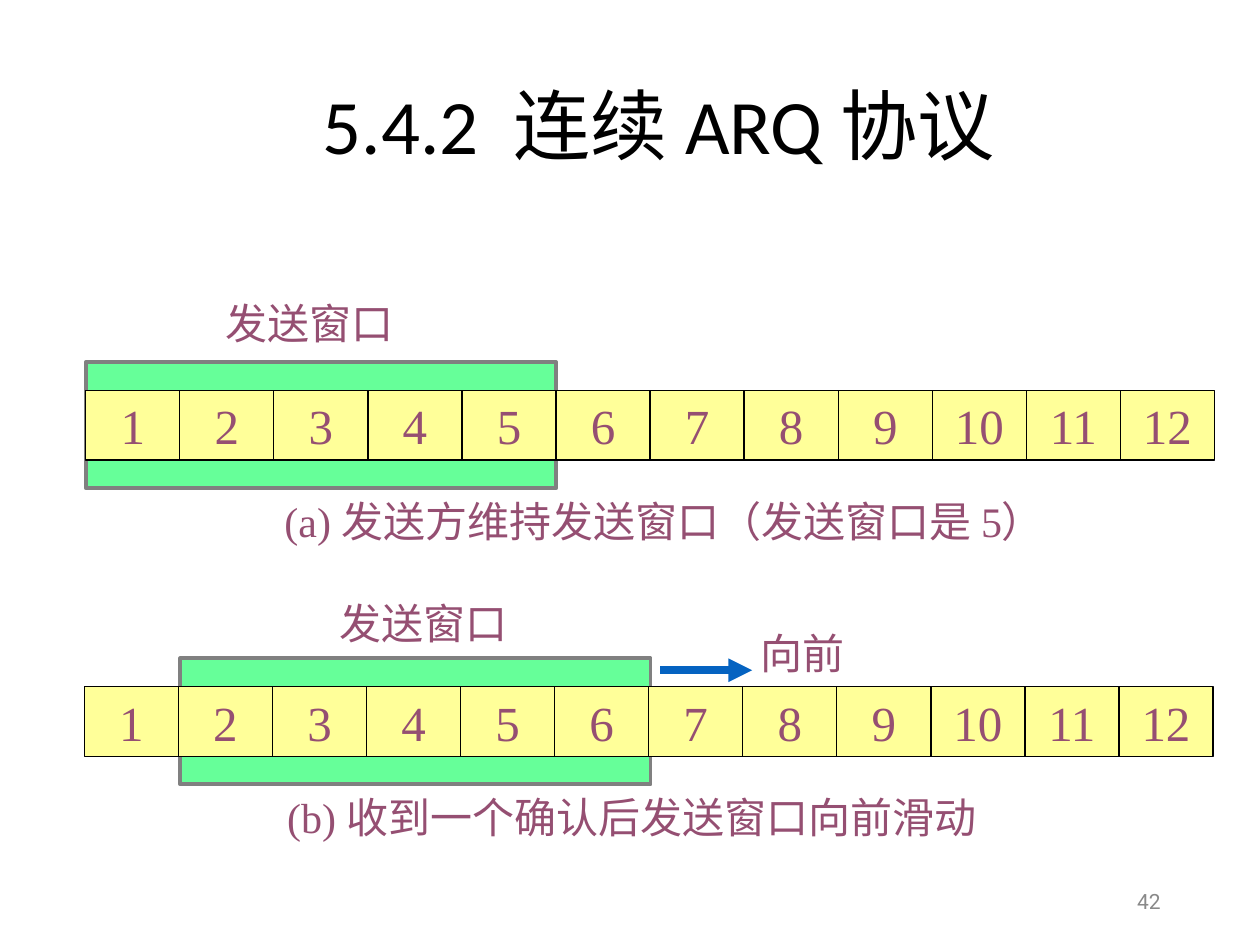
from dataclasses import dataclass

from lxml.etree import SubElement
from pptx import Presentation
from pptx.dml.color import RGBColor
from pptx.enum.shapes import MSO_CONNECTOR, MSO_SHAPE
from pptx.enum.text import MSO_ANCHOR, MSO_AUTO_SIZE, PP_ALIGN
from pptx.oxml.ns import qn
from pptx.util import Pt

PURPLE = "954F72"
BLACK = "000000"
FRAME_COUNT = 12
WINDOW_SIZE = 5
CELL_WIDTH = 53.75
ROW_HEIGHT = 39.7
WINDOW_HEIGHT = 72


@dataclass
class FrameRow:
    left: float
    top: float
    window_left: float


@dataclass
class Label:
    text: str
    left: float
    top: float
    width: float


ROWS = [FrameRow(49, 223.2, 49), FrameRow(48.2, 392.4, 103)]
LABELS = [
    Label("发送窗口", 121.7, 166.3, 110.2),
    Label("(a) 发送方维持发送窗口（发送窗口是 5）", 155.5, 279.4, 449.3),
    Label("发送窗口", 187.2, 337.7, 110.2),
    Label("向前", 427.7, 355, 62.6),
    Label("(b) 收到一个确认后发送窗口向前滑动", 157, 448.6, 408.2),
]


def color(value: str) -> RGBColor:
    return RGBColor.from_string(value)


def write_text(shape, text: str, *, size: float, font: str, fill: str,
               align=PP_ALIGN.LEFT, anchor=MSO_ANCHOR.TOP, wrap=True, line_spacing=None):
    frame = shape.text_frame
    frame.auto_size = MSO_AUTO_SIZE.NONE
    frame.word_wrap = wrap
    frame.vertical_anchor = anchor
    paragraph = frame.paragraphs[0]
    paragraph.alignment = align
    paragraph.line_spacing = line_spacing
    run = paragraph.add_run()
    run.text = text
    run.font.size = Pt(size)
    run.font.name = font
    run.font.color.rgb = color(fill)


def add_text(slide, text: str, left: float, top: float, width: float, height: float, **text_format):
    box = slide.shapes.add_textbox(Pt(left), Pt(top), Pt(width), Pt(height))
    write_text(box, text, **text_format)


def add_rectangle(slide, left: float, top: float, width: float, height: float,
                  fill: str, line: str, line_width: float):
    shape = slide.shapes.add_shape(MSO_SHAPE.RECTANGLE, Pt(left), Pt(top), Pt(width), Pt(height))
    shape.shadow.inherit = False
    shape.fill.solid()
    shape.fill.fore_color.rgb = color(fill)
    shape.line.color.rgb = color(line)
    shape.line.width = Pt(line_width)


def add_line(slide, start: tuple[float, float], end: tuple[float, float],
             line: str, width: float, arrow: bool = False):
    connector = slide.shapes.add_connector(
        MSO_CONNECTOR.STRAIGHT, Pt(start[0]), Pt(start[1]), Pt(end[0]), Pt(end[1]))
    connector.line.color.rgb = color(line)
    connector.line.width = Pt(width)
    if arrow:
        SubElement(connector.line._get_or_add_ln(), qn("a:tailEnd"), type="triangle")
    SubElement(connector._element.spPr, qn("a:effectLst"))


def add_frame_row(slide, row: FrameRow):
    # Send window behind the strip of numbered frames
    window_top = row.top + (ROW_HEIGHT - WINDOW_HEIGHT) / 2
    add_rectangle(slide, row.window_left, window_top, WINDOW_SIZE * CELL_WIDTH,
                  WINDOW_HEIGHT, "66FF99", "808080", 2.25)
    add_rectangle(slide, row.left, row.top, FRAME_COUNT * CELL_WIDTH, ROW_HEIGHT,
                  "FFFF99", BLACK, 0.75)
    for index in range(FRAME_COUNT):
        left = row.left + index * CELL_WIDTH
        add_text(slide, str(index + 1), left, row.top, CELL_WIDTH, ROW_HEIGHT,
                 size=28, font="Times New Roman", fill=PURPLE, align=PP_ALIGN.CENTER,
                 anchor=MSO_ANCHOR.MIDDLE, wrap=False)
        if index:
            add_line(slide, (left, row.top), (left, row.top + ROW_HEIGHT), BLACK, 0.75)


def main():
    presentation = Presentation()
    presentation.slide_width, presentation.slide_height = Pt(720), Pt(540)
    slide = presentation.slides.add_slide(presentation.slide_layouts[5])

    # Title
    title = slide.shapes.title
    title.left, title.top, title.width, title.height = Pt(90.7), Pt(16.6), Pt(581), Pt(115.2)
    write_text(title, "5.4.2  连续 ARQ 协议 ", size=44, font="Calibri", fill=BLACK,
               align=PP_ALIGN.CENTER, anchor=MSO_ANCHOR.MIDDLE, line_spacing=0.9)

    # Frame sequences before and after the window slides
    for row in ROWS:
        add_frame_row(slide, row)

    # Labels and captions
    for label in LABELS:
        add_text(slide, label.text, label.left, label.top, label.width, 36,
                 size=24, font="Times New Roman", fill=PURPLE)

    # Direction of movement
    add_line(slide, (377.3, 383), (429.8, 383), "0563C1", 4.5, arrow=True)

    # Slide number
    add_text(slide, "42", 508.3, 500.4, 162, 28.8, size=12, font="Roboto",
             fill="898989", align=PP_ALIGN.RIGHT, anchor=MSO_ANCHOR.MIDDLE)

    presentation.save("out.pptx")


if __name__ == "__main__":
    main()
